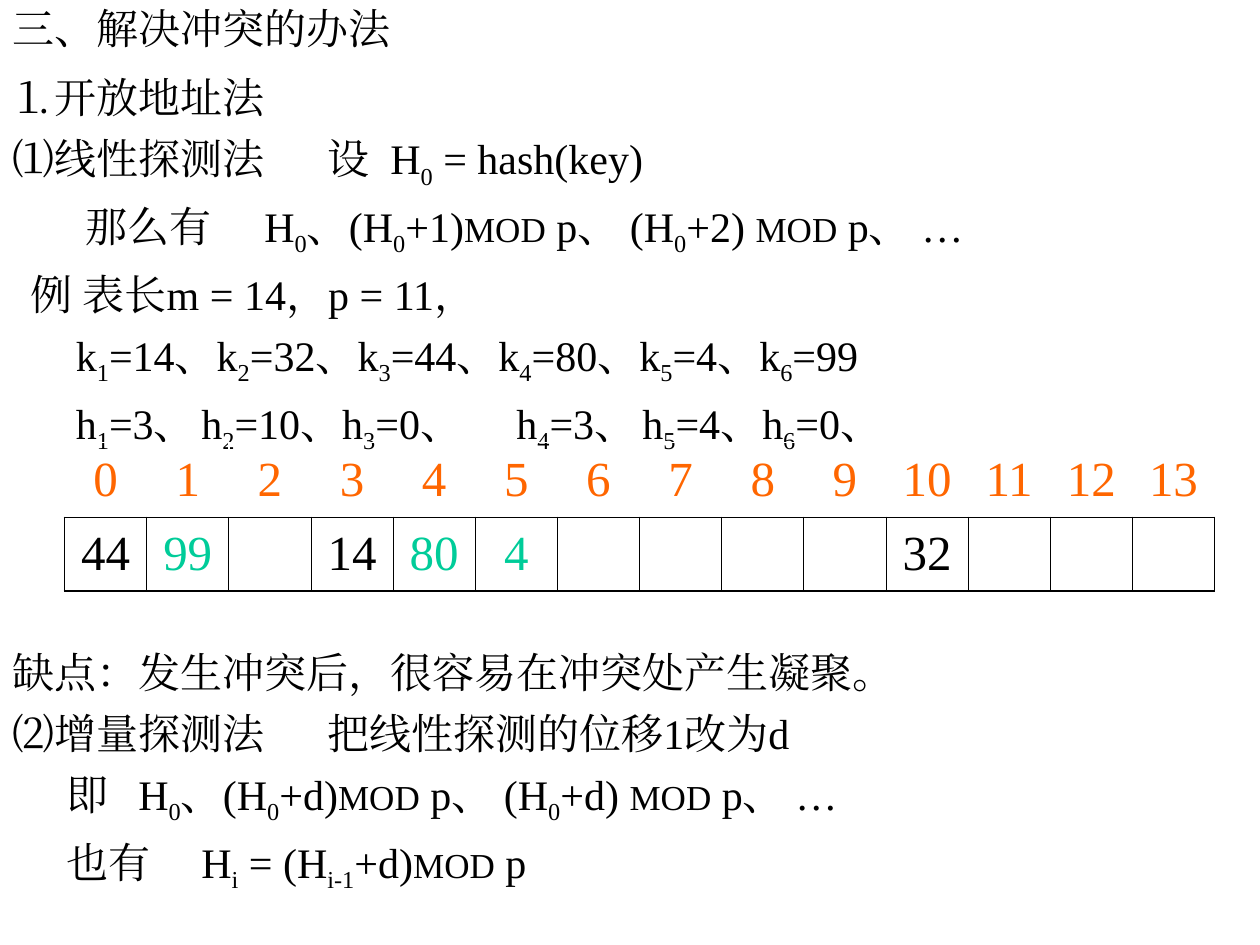
import pptx
import pptx.dml.color
import pptx.enum.text
import pptx.oxml.ns
import pptx.util
from lxml import etree
from pptx.util import Cm

BLACK = pptx.dml.color.RGBColor(0x00, 0x00, 0x00)
ORANGE = pptx.dml.color.RGBColor(0xFF, 0x66, 0x00)
GREEN = pptx.dml.color.RGBColor(0x00, 0xCC, 0x99)
FONT = "Times New Roman"
qn = pptx.oxml.ns.qn


def write_text(paragraph, text, size=24, color=BLACK, before=0, indent=0, tabs=(), align="LEFT"):
    paragraph.alignment = getattr(pptx.enum.text.PP_ALIGN, align)
    paragraph.space_before = pptx.util.Pt(before)
    properties = paragraph._p.get_or_add_pPr()
    properties.set("marL", "0")
    properties.set("indent", str(Cm(indent)))
    if tabs:
        tab_list = etree.SubElement(properties, qn("a:tabLst"))
        for position in tabs:
            etree.SubElement(tab_list, qn("a:tab"), pos=str(Cm(position)), algn="l")
    for index, part in enumerate(text.split("|")):
        if not part:
            continue
        run = paragraph.add_run()
        run.text = part
        run.font.name = FONT
        run.font.size = pptx.util.Pt(20 if part == "MOD" else size)
        run.font.color.rgb = color
        etree.SubElement(run.font._element, qn("a:ea"), typeface=FONT)
        if index % 2 and part != "MOD":
            run.font._element.set("baseline", "-25000")


def set_border(cell, side, width):
    line = etree.SubElement(cell._tc.get_or_add_tcPr(), qn("a:ln" + side), w=str(pptx.util.Pt(width)))
    fill = etree.SubElement(line, qn("a:solidFill"))
    etree.SubElement(fill, qn("a:srgbClr"), val=str(BLACK))


presentation = pptx.Presentation()
presentation.slide_width = Cm(25.4)
presentation.slide_height = Cm(19.05)
slide = presentation.slides.add_slide(presentation.slide_layouts[5])

title = slide.shapes.title
title.left, title.top, title.width, title.height = Cm(0), Cm(0), Cm(21.6), Cm(1.12)
title.text_frame.vertical_anchor = pptx.enum.text.MSO_ANCHOR.MIDDLE
write_text(title.text_frame.paragraphs[0], "三、解决冲突的办法")

linear_probing = [
    ("⒈开放地址法", 0, ()),
    ("⑴线性探测法\t设\tH|0| = hash(key)", 0, (6.04, 7.47)),
    ("那么有\tH|0|、(H|0|+1)|MOD| p、 (H|0|+2) |MOD| p、 …", 1.48, (4.83,)),
    ("例 表长m = 14，p = 11，", 0.36, ()),
    ("k|1|=14、k|2|=32、k|3|=44、k|4|=80、k|5|=4、k|6|=99", 1.28, ()),
    ("h|1|=3、\th|2|=10、h|3|=0、\th|4|=3、\th|5|=4、h|6|=0、", 1.28, (4.46, 10.91, 14.12)),
]
increment_probing = [
    ("缺点：发生冲突后，很容易在冲突处产生凝聚。", 0, ()),
    ("⑵增量探测法\t把线性探测的位移1改为d", 0, (6.04,)),
    ("即\tH|0|、(H|0|+d)|MOD| p、 (H|0|+d) |MOD| p、 …", 1.1, (3.33,)),
    ("也有\tH|i| = (H|i-1|+d)|MOD| p", 1.1, (5.33,)),
]
for top, height, lines in [(1.32, 7.6, linear_probing), (12.91, 5.4, increment_probing)]:
    text_frame = slide.shapes.add_textbox(Cm(0), Cm(top), Cm(24.9), Cm(height)).text_frame
    text_frame.word_wrap = True
    for number, (text, indent, tabs) in enumerate(lines):
        paragraph = text_frame.add_paragraph() if number else text_frame.paragraphs[0]
        write_text(paragraph, text, before=6, indent=indent, tabs=tabs)

SLOTS = 14
stored_keys = {
    0: ("44", BLACK), 1: ("99", GREEN), 3: ("14", BLACK),
    4: ("80", GREEN), 5: ("4", GREEN), 10: ("32", BLACK),
}
hash_table = slide.shapes.add_table(2, SLOTS, Cm(1.3), Cm(8.92), Cm(23.19), Cm(3)).table
hash_table.first_row = False
hash_table.horz_banding = False
for slot in range(SLOTS):
    index_cell, key_cell = hash_table.cell(0, slot), hash_table.cell(1, slot)
    set_border(index_cell, "B", 0.45)
    set_border(key_cell, "L", 1.08 if slot == 0 else 0.45)
    set_border(key_cell, "R", 1.08 if slot == SLOTS - 1 else 0.45)
    set_border(key_cell, "T", 0.45)
    set_border(key_cell, "B", 1.08)
    key, key_color = stored_keys.get(slot, ("", BLACK))
    for cell, text, color in [(index_cell, str(slot), ORANGE), (key_cell, key, key_color)]:
        cell.fill.background()
        cell.vertical_anchor = pptx.enum.text.MSO_ANCHOR.MIDDLE
        write_text(cell.text_frame.paragraphs[0], text, size=28, color=color, before=7, align="CENTER")

presentation.save("out.pptx")
